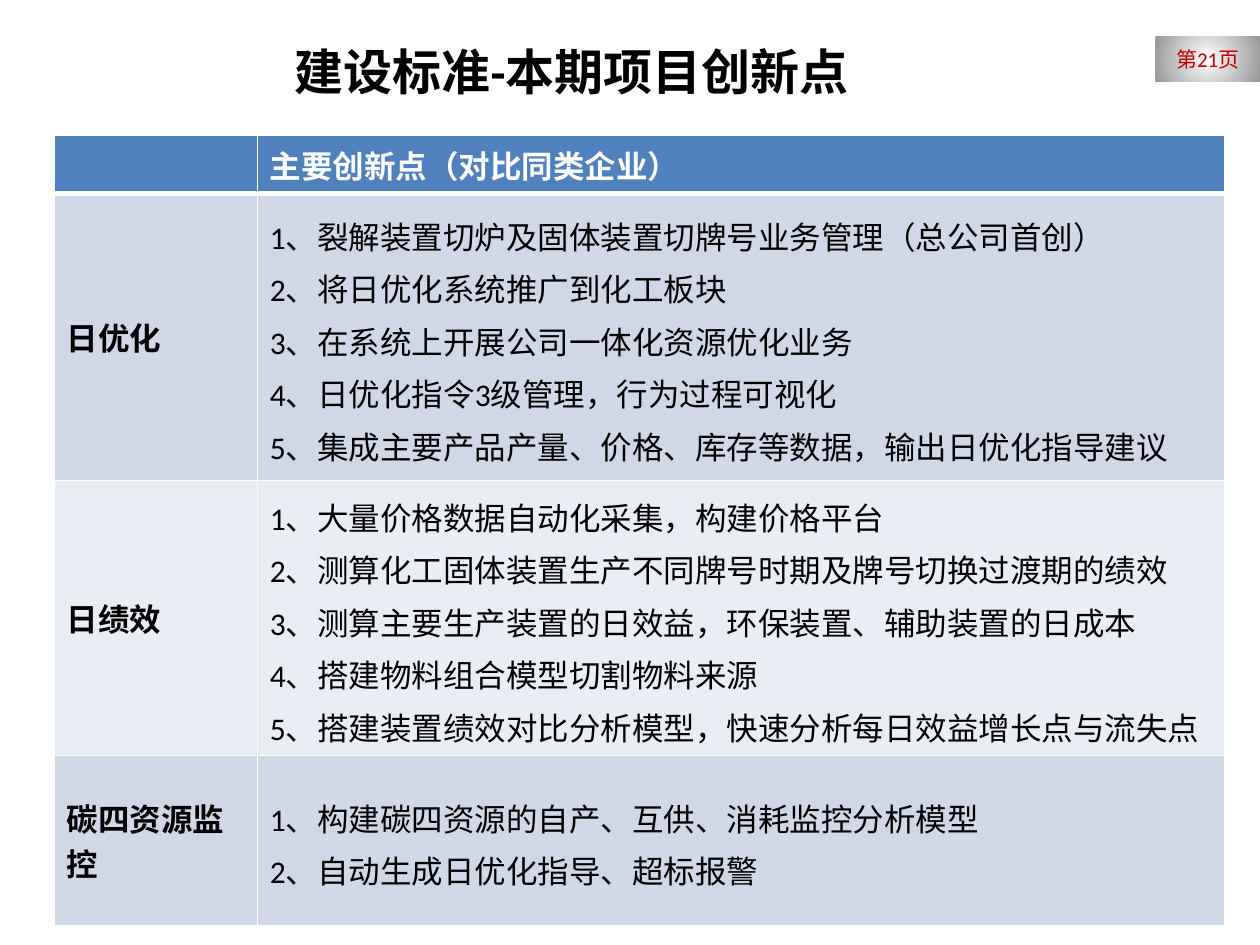
from lxml import etree
from pptx import Presentation
from pptx.dml.color import RGBColor
from pptx.enum.shapes import MSO_SHAPE
from pptx.enum.text import MSO_ANCHOR, PP_ALIGN
from pptx.oxml import parse_xml
from pptx.oxml.ns import nsdecls, qn
from pptx.util import Pt

RECTANGLE = MSO_SHAPE.RECTANGLE
MIDDLE = MSO_ANCHOR.MIDDLE
LEFT, CENTER = PP_ALIGN.LEFT, PP_ALIGN.CENTER

THEME = {
    "latin": "Calibri", "asian": "Noto Sans CJK SC",
    "black": "000000", "white": "FFFFFF", "red": "C00000", "grey": "979797",
    "header": "4F81BD", "bands": ["D0D8E8", "E9EDF4"],
    "title_size": 28, "table_size": 18, "badge_size": 12, "line_spacing": 30,
}


def add_run(paragraph, text, size, color, bold=False, asian=None):
    run = paragraph.add_run()
    run.text = text
    run.font.size = Pt(size)
    run.font.bold = bold
    run.font.color.rgb = RGBColor.from_string(color)
    run.font.name = THEME["latin"]
    if asian:
        properties = run.font._element
        etree.SubElement(properties, qn("a:ea")).set("typeface", asian)


def style_cell(cell, fill, bottom_width):
    cell.vertical_anchor = MIDDLE
    properties = cell._tc.get_or_add_tcPr()
    for side, width in (("L", 1), ("R", 1), ("T", 1), ("B", bottom_width)):
        properties.append(parse_xml(
            f'<a:ln{side} {nsdecls("a")} w="{Pt(width)}"><a:solidFill>'
            f'<a:srgbClr val="{THEME["white"]}"/></a:solidFill></a:ln{side}>'))
    cell.fill.solid()
    cell.fill.fore_color.rgb = RGBColor.from_string(fill)


HEADINGS = ["", "主要创新点（对比同类企业）"]
SECTIONS = [
    ("日优化", [
        "裂解装置切炉及固体装置切牌号业务管理（总公司首创）",
        "将日优化系统推广到化工板块",
        "在系统上开展公司一体化资源优化业务",
        "日优化指令3级管理，行为过程可视化",
        "集成主要产品产量、价格、库存等数据，输出日优化指导建议",
    ]),
    ("日绩效", [
        "大量价格数据自动化采集，构建价格平台",
        "测算化工固体装置生产不同牌号时期及牌号切换过渡期的绩效",
        "测算主要生产装置的日效益，环保装置、辅助装置的日成本",
        "搭建物料组合模型切割物料来源",
        "搭建装置绩效对比分析模型，快速分析每日效益增长点与流失点",
    ]),
    ("碳四资源监控", [
        "构建碳四资源的自产、互供、消耗监控分析模型",
        "自动生成日优化指导、超标报警",
    ]),
]
COLUMN_WIDTHS = [116, 553]
ROW_HEIGHTS = [27.4, 164, 148.5, 97]

presentation = Presentation()
presentation.slide_width, presentation.slide_height = Pt(720), Pt(540)
slide = presentation.slides.add_slide(presentation.slide_layouts[5])

# Title
title = slide.shapes.title
title.left, title.top, title.width, title.height = Pt(161.3), Pt(21), Pt(499), Pt(39)
title.text_frame.vertical_anchor = MIDDLE
paragraph = title.text_frame.paragraphs[0]
paragraph.alignment = LEFT
add_run(paragraph, "建设标准-本期项目创新点", THEME["title_size"], THEME["black"],
        True, THEME["asian"])

# Page badge with a radial gradient
badge = slide.shapes.add_shape(RECTANGLE, Pt(660.3), Pt(20.6), Pt(59.7), Pt(26))
badge.shadow.inherit = False
badge.line.fill.background()
badge.fill.gradient()
gradient = badge._element.spPr.find(qn("a:gradFill"))
gradient.getparent().replace(gradient, parse_xml(
    f'<a:gradFill {nsdecls("a")} rotWithShape="1"><a:gsLst>'
    f'<a:gs pos="0"><a:srgbClr val="{THEME["white"]}"/></a:gs>'
    f'<a:gs pos="100000"><a:srgbClr val="{THEME["grey"]}"/></a:gs></a:gsLst>'
    '<a:path path="circle"><a:fillToRect l="50000" t="50000" r="50000" b="50000"/>'
    '</a:path></a:gradFill>'))
badge.text_frame.word_wrap = False
badge.text_frame.vertical_anchor = MIDDLE
paragraph = badge.text_frame.paragraphs[0]
paragraph.alignment = CENTER
add_run(paragraph, "第21页", THEME["badge_size"], THEME["red"], asian=THEME["asian"])

# Table grid
table = slide.shapes.add_table(
    len(ROW_HEIGHTS), len(COLUMN_WIDTHS), Pt(31), Pt(77.3),
    Pt(sum(COLUMN_WIDTHS)), Pt(sum(ROW_HEIGHTS))).table
for column, width in zip(table.columns, COLUMN_WIDTHS):
    column.width = Pt(width)
for row, height in zip(table.rows, ROW_HEIGHTS):
    row.height = Pt(height)

# Header row
for cell, heading in zip(table.rows[0].cells, HEADINGS):
    style_cell(cell, THEME["header"], 3)
    paragraph = cell.text_frame.paragraphs[0]
    paragraph.font.size = Pt(THEME["table_size"])
    if heading:
        add_run(paragraph, heading, THEME["table_size"], THEME["white"], True)

# One banded row per section, with numbered points
for index, (label, points) in enumerate(SECTIONS):
    label_cell, points_cell = table.rows[index + 1].cells
    for cell in (label_cell, points_cell):
        style_cell(cell, THEME["bands"][index % 2], 1)
    add_run(label_cell.text_frame.paragraphs[0], label, THEME["table_size"],
            THEME["black"], True)
    frame = points_cell.text_frame
    for number, point in enumerate(points, 1):
        paragraph = frame.paragraphs[0] if number == 1 else frame.add_paragraph()
        paragraph.line_spacing = Pt(THEME["line_spacing"])
        add_run(paragraph, f"{number}、{point}", THEME["table_size"], THEME["black"])

presentation.save("out.pptx")
